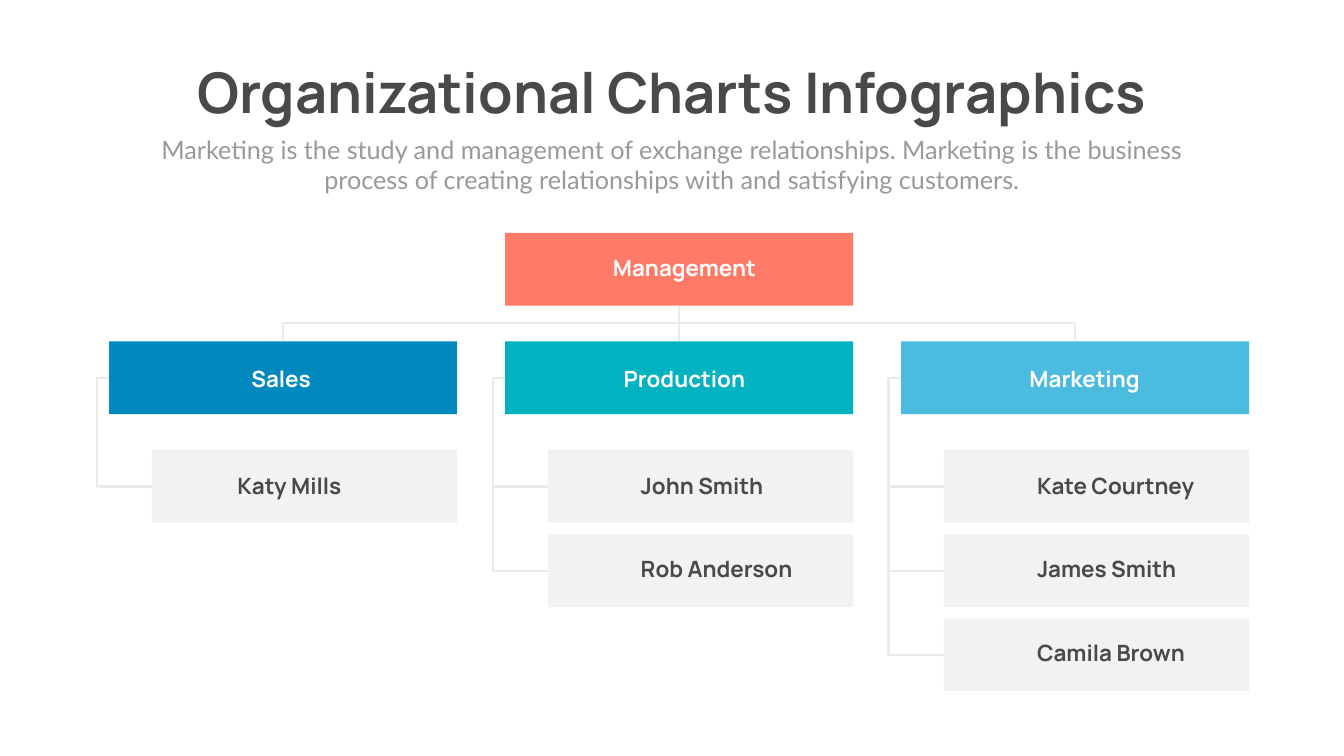
"""Build an organizational chart slide with three departments."""
from lxml import etree
from pptx import Presentation
from pptx.dml.color import RGBColor
from pptx.enum import shapes, text
from pptx.oxml.ns import qn
from pptx.util import Pt

CORAL = RGBColor(0xFF, 0x7A, 0x67)
BLUE = RGBColor(0x02, 0x89, 0xBD)
TEAL = RGBColor(0x01, 0xB2, 0xC0)
SKY = RGBColor(0x4B, 0xBB, 0xDF)
GRAY = RGBColor(0x80, 0x80, 0x80)
RULE = RGBColor(0xEB, 0xEB, 0xEB)
DARK = RGBColor(0x49, 0x49, 0x49)
SOFT = RGBColor(0x99, 0x99, 0x99)
WHITE = RGBColor(0xFF, 0xFF, 0xFF)


def write(box, words, size=32, color=DARK, font="Manrope", bold=True,
          align=text.PP_ALIGN.CENTER, inset=1.8, wrap=True):
    frame = box.text_frame
    frame.word_wrap = wrap
    frame.auto_size = text.MSO_AUTO_SIZE.NONE
    frame.vertical_anchor = text.MSO_ANCHOR.TOP
    frame.margin_left = frame.margin_right = Pt(3.6)
    frame.margin_top = frame.margin_bottom = Pt(inset)
    par = frame.paragraphs[0]
    par.alignment = align
    run = par.add_run()
    run.text = words
    run.font.size = Pt(size)
    run.font.name = font
    run.font.bold = bold
    run.font.color.rgb = color


def link(kind, x1, y1, x2, y2, bend=None):
    line = slide.shapes.add_connector(kind, Pt(x1), Pt(y1), Pt(x2), Pt(y2))
    line.line.color.rgb = RULE
    line.line.width = Pt(3)
    props = line._element.spPr
    etree.SubElement(props, qn("a:effectLst"))
    if bend is not None:
        guide = etree.SubElement(props.find(".//" + qn("a:avLst")), qn("a:gd"))
        guide.set("name", "adj1")
        guide.set("fmla", f"val {round(bend * 100000)}")
    return line


deck = Presentation()
deck.slide_width = Pt(1919.5)
deck.slide_height = Pt(1080)
slide = deck.slides.add_slide(deck.slide_layouts[5])

title = slide.shapes.title
title.left, title.top, title.width, title.height = Pt(217.5), Pt(82), Pt(1484.5), Pt(104.5)
write(title, "Organizational Charts Infographics", size=80, inset=0, wrap=False)

intro = slide.shapes.add_textbox(Pt(210), Pt(188), Pt(1499), Pt(94.5))
write(intro, "Marketing is the study and management of exchange relationships. "
      "Marketing is the business process of creating relationships with and "
      "satisfying customers.", size=36, color=SOFT, font="Lato", bold=False, inset=3.6)

LEFT, STEP, WIDE, HIGH = 156, 565.5, 497, 104
HEAD, TEAM, ROW = 332.5, 487.5, 643
DENT, GAP, OUT = 61, 120.25, 18
STRAIGHT = shapes.MSO_CONNECTOR.STRAIGHT
ELBOW = shapes.MSO_CONNECTOR.ELBOW

teams = [
    ("Sales", BLUE, 53, 179.5, ["Katy Mills"]),
    ("Production", TEAL, 63.5, 190, ["John Smith", "Rob Anderson"]),
    ("Marketing", SKY, 69.5, 190.5, ["Kate Courtney", "James Smith", "Camila Brown"]),
]

cards = [(LEFT + STEP, HEAD, WIDE, CORAL)]
labels = [("Management", LEFT + STEP + 63.5, 361, 385, WHITE, text.PP_ALIGN.CENTER)]
for col, (team, color, shift, push, names) in enumerate(teams):
    x = LEFT + col * STEP
    cards.append((x, TEAM, WIDE, color))
    labels.append((team, x + shift, 520, 385, WHITE, text.PP_ALIGN.CENTER))
    for row, name in enumerate(names):
        cards.append((x + DENT, ROW + row * GAP, WIDE - DENT, GRAY))
        labels.append((name, x + push, 672 + row * 119.5, 283, DARK, text.PP_ALIGN.LEFT))
        mid = ROW + row * GAP + HIGH / 2
        if row == len(names) - 1:
            link(ELBOW, x, TEAM + HIGH / 2, x + DENT, mid, bend=-OUT / DENT)
        else:
            link(STRAIGHT, x - OUT, mid, x + DENT, mid)

trunk = LEFT + STEP + WIDE / 2
base = HEAD + HIGH
drop = TEAM - base
for side, turn in ((1, 270), (-1, 90)):
    x = trunk + side * STEP / 2
    y = base + drop / 2
    arm = link(ELBOW, x - drop / 2, y - STEP / 2, x + drop / 2, y + STEP / 2, bend=0.5)
    frame = arm._element.spPr.find(qn("a:xfrm"))
    frame.set("rot", str(turn * 60000))
    if side == 1:
        frame.set("flipH", "1")
link(STRAIGHT, trunk, base, trunk, TEAM)

for x, y, wide, color in cards:
    card = slide.shapes.add_shape(shapes.MSO_SHAPE.RECTANGLE, Pt(x), Pt(y), Pt(wide), Pt(HIGH))
    card.shadow.inherit = False
    card.line.fill.background()
    card.fill.solid()
    card.fill.fore_color.rgb = color
    if color == GRAY:
        tint = card._element.spPr.find(".//" + qn("a:srgbClr"))
        etree.SubElement(tint, qn("a:alpha")).set("val", "10000")

for words, x, y, wide, color, align in labels:
    box = slide.shapes.add_textbox(Pt(x), Pt(y), Pt(wide), Pt(46))
    write(box, words, color=color, align=align)

deck.save("out.pptx")
